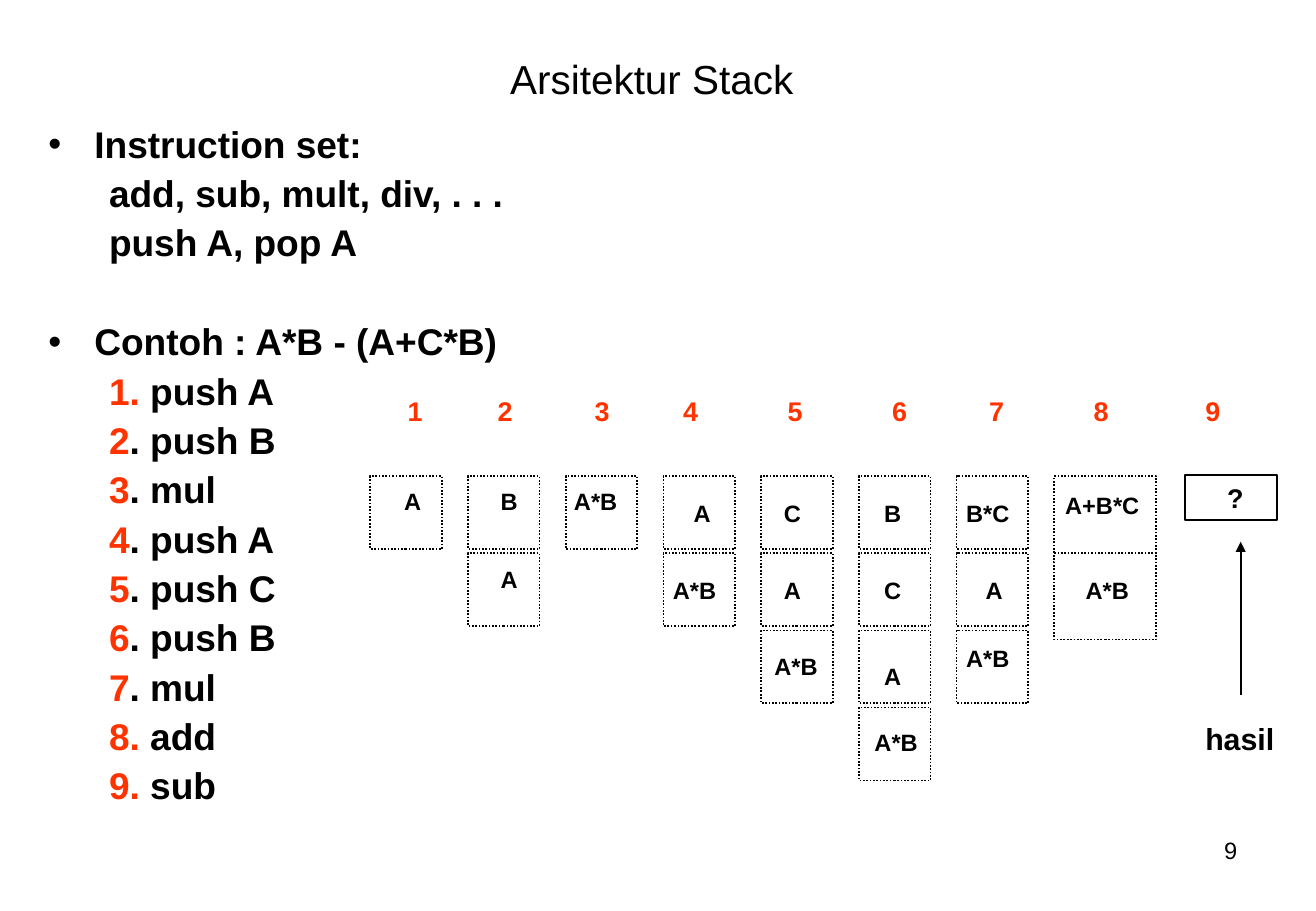
from lxml import etree
from pptx import Presentation
from pptx.dml.color import RGBColor
from pptx.enum.dml import MSO_LINE
from pptx.enum.shapes import MSO_CONNECTOR, MSO_SHAPE
from pptx.enum.text import MSO_ANCHOR, PP_ALIGN
from pptx.oxml.ns import qn
from pptx.util import Inches, Pt

RECTANGLE = MSO_SHAPE.RECTANGLE
STRAIGHT = MSO_CONNECTOR.STRAIGHT
DOTTED = MSO_LINE.ROUND_DOT
MIDDLE = MSO_ANCHOR.MIDDLE
LEFT, CENTER, RIGHT = PP_ALIGN.LEFT, PP_ALIGN.CENTER, PP_ALIGN.RIGHT

FONT = "Arial"
COLORS = {"text": "000000", "step": "FF3300", "cell": "FFFFFF"}

INSTRUCTIONS = ["add, sub, mult, div, . . .", "push A, pop A"]
PROGRAM = [("1.", " push A"), ("2", ". push B"), ("3", ". mul"),
           ("4", ". push A"), ("5", ". push C"), ("6", ". push B"),
           ("7", ". mul"), ("8.", " add"), ("9.", " sub")]
STEP_TABS = [0.74, 1.54, 2.27, 3.13, 3.99, 4.79, 5.65, 6.57]

# Stack after each step, top first: label and its offset inside the cell
STACKS = [
    [("A", 0.18, 0.04)],
    [("B", 0.17, 0.04), ("A", 0.17, 0.05)],
    [("A*B", -0.03, 0.04)],
    [("A", 0.15, 0.14), ("A*B", -0.02, 0.14)],
    [("C", 0.09, 0.14), ("A", 0.09, 0.14), ("A*B", 0.01, 0.13)],
    [("B", 0.11, 0.14), ("C", 0.11, 0.14), ("A", 0.11, 0.21), ("A*B", 0.03, 0.12)],
    [("B*C", -0.02, 0.14), ("A", 0.14, 0.14), ("A*B", -0.02, 0.06)],
    [("A+B*C", -0.01, 0.07), ("A*B", 0.16, 0.14)],
]
CELL_SIZE = (0.59, 0.6)
LAST_CELL_SIZE = (0.84, 0.71)
COLUMN_STEP, ROW_STEP = 0.805, 0.635


def color(name):
    return RGBColor.from_string(COLORS[name])


def add_run(paragraph, text, size, bold=True, color_name="text"):
    run = paragraph.add_run()
    run.text = text
    run.font.name = FONT
    run.font.size = Pt(size)
    run.font.bold = bold
    run.font.color.rgb = color(color_name)


def add_frame(slide, box, wrap=True):
    shape = slide.shapes.add_textbox(*map(Inches, box))
    shape.text_frame.word_wrap = wrap
    return shape.text_frame


def add_label(slide, box, text, size, bold=True, align=LEFT, wrap=False):
    frame = add_frame(slide, box, wrap)
    paragraph = frame.paragraphs[0]
    paragraph.alignment = align
    add_run(paragraph, text, size, bold)
    return frame


def add_rectangle(slide, box):
    shape = slide.shapes.add_shape(RECTANGLE, *map(Inches, box))
    shape.shadow.inherit = False
    shape.line.color.rgb = color("text")
    shape.line.width = Pt(1)
    return shape


def set_indent(paragraph, margin, indent, bullet=None):
    properties = paragraph._p.get_or_add_pPr()
    properties.set("marL", str(Inches(margin)))
    properties.set("indent", str(Inches(indent)))
    if bullet:
        etree.SubElement(properties, qn("a:buFont"), typeface=FONT)
        etree.SubElement(properties, qn("a:buChar"), char=bullet)


def add_instructions(slide, box):
    """Bulleted headings with the instruction set and the sample program."""
    frame = add_frame(slide, box)

    def add_line(runs, heading=False, gap=5.5):
        first = not frame.paragraphs[0].runs
        paragraph = frame.paragraphs[0] if first else frame.add_paragraph()
        paragraph.line_spacing = 0.9
        paragraph.space_before = Pt(gap)
        if heading:
            set_indent(paragraph, 0.38, -0.38, "•")
        else:
            paragraph.level = 1
            set_indent(paragraph, 0.5, 0)
        for text, color_name in runs:
            add_run(paragraph, text, 22, color_name=color_name)

    add_line([("Instruction set:", "text")], heading=True)
    for instruction in INSTRUCTIONS:
        add_line([(instruction, "text")])
    add_line([("Contoh : A*B - (A+C*B)", "text")], heading=True, gap=34.8)
    for number, operation in PROGRAM:
        add_line([(number, "step"), (operation, "text")])


def add_step_numbers(slide, box):
    """One line of step numbers, spread out by tab stops."""
    paragraph = add_frame(slide, box).paragraphs[0]
    properties = paragraph._p.get_or_add_pPr()
    tab_list = etree.SubElement(properties, qn("a:tabLst"))
    for position in STEP_TABS:
        etree.SubElement(tab_list, qn("a:tab"), pos=str(Inches(position)), algn="l")
    numbers = "\t".join(str(step) for step in range(1, 10))
    add_run(paragraph, numbers, 16, color_name="step")


def add_stacks(slide, left, top):
    """Dotted cells, one column for each step."""
    for column, stack in enumerate(STACKS):
        width, height = LAST_CELL_SIZE if stack is STACKS[-1] else CELL_SIZE
        cells = [(left + column * COLUMN_STEP, top + row * ROW_STEP)
                 for row in range(len(stack))]
        for x, y in cells:
            cell = add_rectangle(slide, (x, y, width, height))
            cell.fill.solid()
            cell.fill.fore_color.rgb = color("cell")
            cell.line.dash_style = DOTTED
        for (x, y), (text, dx, dy) in zip(cells, stack):
            label_width = 0.24 + 0.12 * len(text)
            add_label(slide, (x + dx, y + dy, label_width, 0.33), text, 14,
                      wrap=True)


def add_result(slide, left, top):
    """Result box with an arrow from its caption."""
    result = add_rectangle(slide, (left, top, 0.76, 0.37))
    result.fill.background()
    paragraph = result.text_frame.paragraphs[0]
    paragraph.alignment = LEFT
    set_indent(paragraph, 0.25, 0)
    add_run(paragraph, "?", 16)

    add_label(slide, (left + 0.07, top + 1.97, 0.77, 0.4), "hasil", 18)

    x = Inches(left + 0.46)
    arrow = slide.shapes.add_connector(
        STRAIGHT, x, Inches(top + 1.81), x, Inches(top + 0.55))
    arrow.line.color.rgb = color("text")
    arrow.line.width = Pt(1)
    etree.SubElement(arrow.line._get_or_add_ln(), qn("a:tailEnd"), type="triangle")
    etree.SubElement(arrow._element.spPr, qn("a:effectLst"))


def main():
    presentation = Presentation()
    presentation.slide_width = Inches(10.84)
    presentation.slide_height = Inches(7.5)
    slide = presentation.slides.add_slide(presentation.slide_layouts[6])

    # Title and slide number
    title = add_label(slide, (0.54, 0.3, 9.75, 0.69), "Arsitektur Stack ", 24,
                      bold=False, align=CENTER, wrap=True)
    title.vertical_anchor = MIDDLE
    add_label(slide, (7.76, 6.83, 2.53, 0.52), "9", 14,
              bold=False, align=RIGHT, wrap=True)

    # Program and its trace
    add_instructions(slide, (0.3, 0.99, 10, 6.06))
    add_stacks(slide, 3.05, 3.92)
    add_step_numbers(slide, (3.26, 3.2, 7.2, 0.37))
    add_result(slide, 9.76, 3.91)
    presentation.save("out.pptx")


if __name__ == "__main__":
    main()
